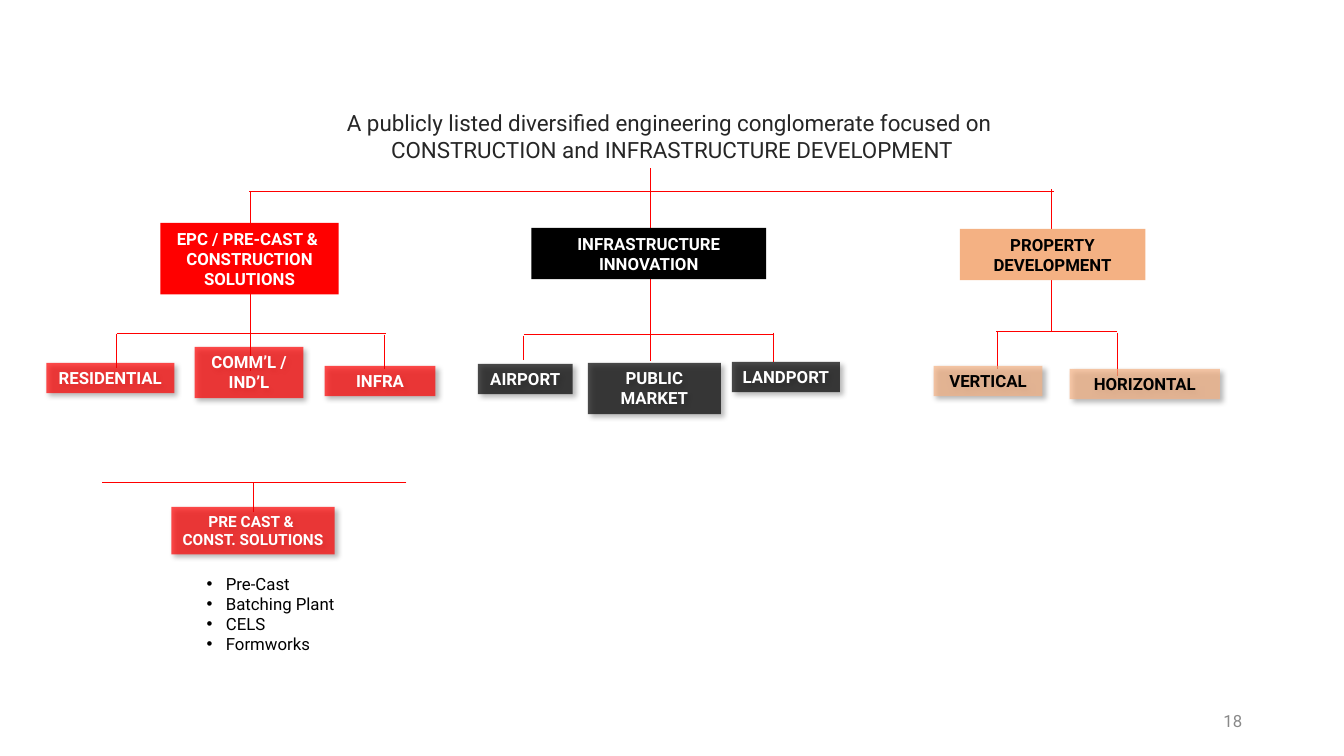
from copy import deepcopy

from lxml.etree import SubElement
from pptx import Presentation
from pptx.dml.color import RGBColor
from pptx.enum.shapes import MSO_CONNECTOR, MSO_SHAPE
from pptx.enum.text import MSO_ANCHOR, MSO_AUTO_SIZE, PP_ALIGN
from pptx.oxml.ns import qn
from pptx.util import Inches, Pt

COLORS = {
    "red": "FF0000", "black": "000000", "peach": "F4B183",
    "white": "FFFFFF", "ink": "262626", "grey": "898989",
}
CELL = 0.1  # inches per grid column and row
LINE_WIDTH = 0.5
TINT = 70  # opacity of second-level boxes, percent


def grid(*cells):
    return [Inches(c * CELL) for c in cells]


def rgb(name):
    return RGBColor.from_string(COLORS[name])


class OrgSlide:
    """Style and current slide; all positions are grid columns and rows."""

    font = {"name": "Roboto", "size": Pt(12), "bold": False}

    def __init__(self, prs):
        self.s = prs.slides.add_slide(prs.slide_layouts[1])

    def place(self, sp, at):
        for key, value in zip(("left", "top", "width", "height"), grid(*at)):
            setattr(sp, key, value)

    def fill_text(self, sp, paragraphs, color, align=PP_ALIGN.CENTER,
                  anchor=MSO_ANCHOR.TOP, grow=True, bullet=None, **font):
        tf = sp.text_frame
        frame = {
            "word_wrap": True, "vertical_anchor": anchor,
            "auto_size": MSO_AUTO_SIZE.SHAPE_TO_FIT_TEXT if grow else MSO_AUTO_SIZE.NONE,
            "margin_left": Inches(0.1), "margin_right": Inches(0.1),
            "margin_top": Inches(0.05), "margin_bottom": Inches(0.05),
        }
        for key, value in frame.items():
            setattr(tf, key, value)
        spacing = {"alignment": align, "line_spacing": 1.0,
                   "space_before": Pt(0), "space_after": Pt(0)}
        for i, text in enumerate(paragraphs):
            p = tf.add_paragraph() if i else tf.paragraphs[0]
            p.text = text
            for key, value in spacing.items():
                setattr(p, key, value)
            if bullet:
                pPr = p._p.get_or_add_pPr()
                pPr.set("marL", str(Inches(0.19)))
                pPr.set("indent", str(-Inches(0.19)))
                SubElement(pPr, qn("a:buFont"), typeface="Arial")
                SubElement(pPr, qn("a:buChar"), char=bullet)
            for r in p.runs:
                for key, value in {**self.font, **font}.items():
                    setattr(r.font, key, value)
                r.font.color.rgb = rgb(color)
            # Line breaks take the size of the text around them
            for br in p._p.findall(qn("a:br")):
                br.append(deepcopy(p.runs[0]._r.get_or_add_rPr()))

    def title(self, at, lines):
        sp = self.s.shapes.title
        self.place(sp, at)
        self.fill_text(sp, lines, "ink", size=Pt(16))

    def bullets(self, at, items):
        sp = self.s.placeholders[1]
        self.place(sp, at)
        self.fill_text(sp, items, "black", align=PP_ALIGN.LEFT, bullet="•")

    def number(self, at, text):
        sp = self.s.shapes.add_textbox(*grid(*at))
        self.fill_text(sp, [text], "grey", align=PP_ALIGN.RIGHT,
                       anchor=MSO_ANCHOR.MIDDLE, grow=False)

    def line(self, x1, y1, x2, y2):
        c = self.s.shapes.add_connector(MSO_CONNECTOR.STRAIGHT, *grid(x1, y1, x2, y2))
        c.line.color.rgb = rgb("red")
        c.line.width = Pt(LINE_WIDTH)
        SubElement(c._element.spPr, qn("a:effectLst"))

    def box(self, at, text, fill, color, tinted=False, size=12):
        sp = self.s.shapes.add_shape(MSO_SHAPE.RECTANGLE, *grid(*at))
        sp.fill.solid()
        sp.fill.fore_color.rgb = rgb(fill)
        sp.line.fill.background()
        sp.shadow.inherit = False
        if tinted:
            self.tint(sp)
        self.fill_text(sp, [text], color, size=Pt(size), bold=True,
                       anchor=MSO_ANCHOR.TOP if tinted else MSO_ANCHOR.MIDDLE)

    def tint(self, sp):
        spPr = sp._element.spPr
        fill = spPr.find(qn("a:solidFill")).find(qn("a:srgbClr"))
        SubElement(fill, qn("a:alpha"), val=str(TINT * 1000))
        shadow = SubElement(
            spPr.find(qn("a:effectLst")), qn("a:outerShdw"), blurRad=str(Pt(4)),
            dist=str(Pt(3)), dir=str(45 * 60000), algn="tl", rotWithShape="0")
        shade = SubElement(shadow, qn("a:srgbClr"), val=COLORS["black"])
        SubElement(shade, qn("a:alpha"), val="40000")


LINES = [
    # Company to divisions
    (104.5, 19, 24.7, 19), (24.8, 19, 24.8, 36.8),
    (64.5, 16.7, 64.5, 35.8), (104.3, 18.8, 104.3, 32.8),
    # Construction branch
    (38.3, 33.1, 11.6, 33.1), (11.5, 33.1, 11.5, 36.5), (38.1, 33.2, 38.1, 36.6),
    (40.3, 47.9, 10.1, 47.9), (25.1, 50.8, 25.1, 47.8),
    # Infrastructure branch
    (76.8, 33.2, 52, 33.2), (51.9, 33.3, 51.9, 35.7), (76.7, 33, 76.7, 35.9),
    # Property branch
    (110.8, 32.9, 98.8, 32.9), (98.9, 32.9, 98.9, 36.6), (110.8, 33, 110.8, 37.3),
]

# Fill, text colour, division box, then the units below it
DIVISIONS = [
    ("red", "white",
     ((15.9, 22.1, 17.7, 7.1), "EPC / PRE-CAST & \vCONSTRUCTION SOLUTIONS"),
     [((4.6, 36, 12.7, 3), "RESIDENTIAL"),
      ((19.3, 34.4, 10.8, 5.1), "COMM’L / IND’L"),
      ((32.2, 36.3, 11, 3), "INFRA")]),
    ("black", "white",
     ((52.7, 22.6, 23.3, 5.1), "INFRASTRUCTURE INNOVATION"),
     [((47.4, 36.1, 9.4, 3), "AIRPORT"),
      ((72.6, 35.9, 10.7, 3), "LANDPORT"),
      ((58.3, 36, 13.2, 5.1), "PUBLIC MARKET")]),
    ("peach", "black",
     ((95.2, 22.7, 18.4, 5.1), "PROPERTY DEVELOPMENT"),
     [((92.6, 36.3, 10.8, 3), "VERTICAL"),
      ((106.1, 36.6, 14.9, 3), "HORIZONTAL")]),
]


def main():
    prs = Presentation()
    prs.slide_width, prs.slide_height = Inches(13.33), Inches(7.5)
    s = OrgSlide(prs)

    # Headline
    s.title((31.5, 10.3, 70.3, 6.4), [
        "A publicly listed diversified engineering conglomerate focused on ",
        "CONSTRUCTION and INFRASTRUCTURE DEVELOPMENT"])

    # Chart lines, behind the boxes
    for ends in LINES:
        s.line(*ends)

    # Divisions and their units
    for fill, color, (at, name), units in DIVISIONS:
        s.box(at, name, fill, color)
        for unit_at, unit in units:
            s.box(unit_at, unit, fill, color, tinted=True)

    # Pre-cast unit and its list
    s.box((17, 50.3, 16.2, 4.7), "PRE CAST & \vCONST. SOLUTIONS",
          "red", "white", tinted=True, size=11)
    s.bullets((19.5, 56.4, 16, 9.1),
              ["Pre-Cast", "Batching Plant", "CELS", "Formworks"])

    # Slide number
    s.number((94.2, 69.5, 30, 4), "18")
    prs.save("out.pptx")


if __name__ == "__main__":
    main()
